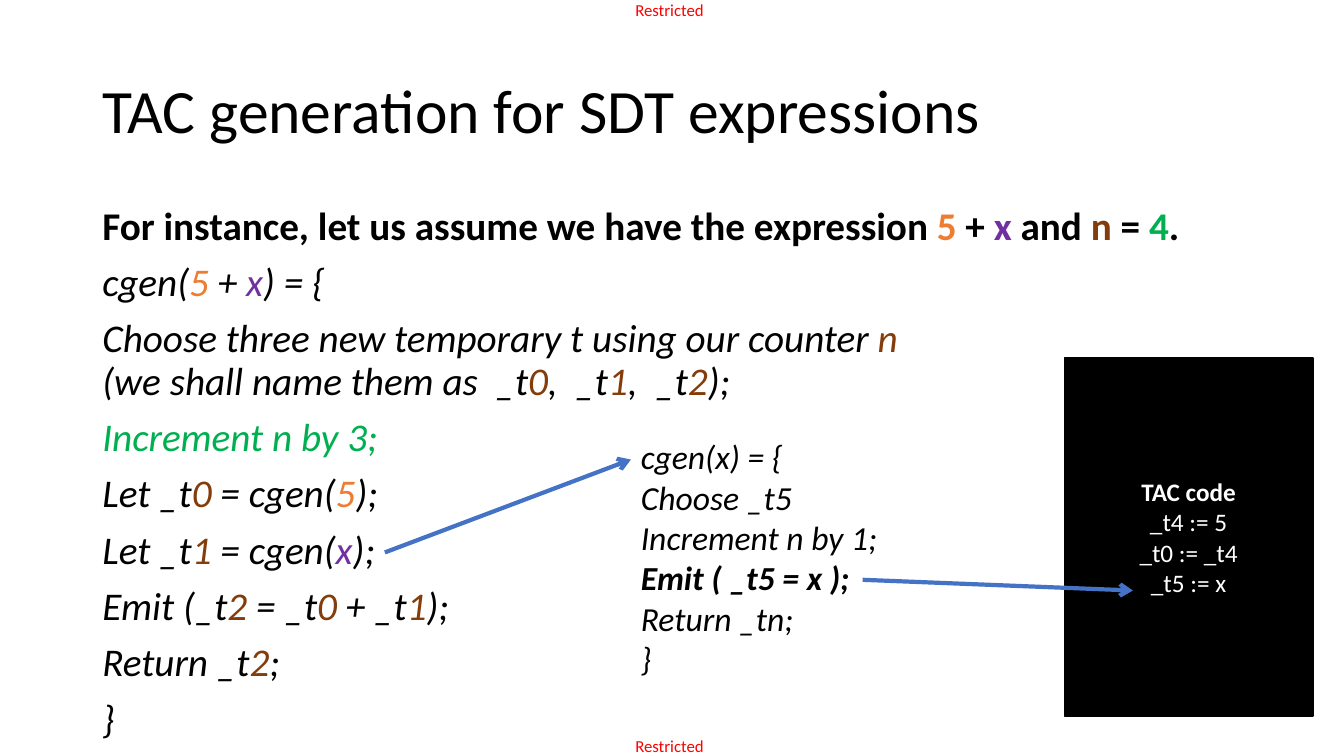
from lxml.etree import SubElement
from pptx import Presentation
from pptx.dml.color import RGBColor
from pptx.enum.shapes import MSO_CONNECTOR as Link, MSO_SHAPE as Shape
from pptx.enum.text import MSO_ANCHOR as Anchor, MSO_AUTO_SIZE as Auto, PP_ALIGN as Align
from pptx.oxml.ns import qn
from pptx.util import Cm, Pt

BLACK = RGBColor(0x00, 0x00, 0x00)
WHITE = RGBColor(0xFF, 0xFF, 0xFF)
RED = RGBColor(0xFF, 0x00, 0x00)
BLUE = RGBColor(0x44, 0x72, 0xC4)
ORANGE = RGBColor(0xED, 0x7D, 0x31)
PURPLE = RGBColor(0x70, 0x30, 0xA0)
BROWN = RGBColor(0x84, 0x3C, 0x0B)
GREEN = RGBColor(0x00, 0xB0, 0x50)

# A run is plain text, or (text, colour); "\n" is a line break.
FIVE, X = ("5", ORANGE), ("x", PURPLE)
N, T0, T1, T2 = [(name, BROWN) for name in "n012"]
MARK = "Restricted"
TITLE = "TAC generation for SDT expressions"
INTRO = ["For instance, let us assume we have the expression ",
         FIVE, " + ", X, " and ", N, " = ", ("4", GREEN), "."]
STEPS = [
    ["cgen(", FIVE, " + ", X, ") = {"],
    ["Choose three new temporary t using our counter ", N, "\n",
     "(we shall name them as  _t", T0, ",  _t", T1, ",  _t", T2, ");"],
    [("Increment n by 3;", GREEN)],
    ["Let _t", T0, " = cgen(", FIVE, ");"],
    ["Let _t", T1, " = cgen(", X, ");"],
    ["Emit (_t", T2, " = _t", T0, " + _t", T1, ");"],
    ["Return _t", T2, ";"],
    ["}"],
]
CALL = ["cgen(x) = {", "Choose _t5", "Increment n by 1;",
        "Emit ( _t5 = x );", "Return _tn;", "}"]
EMIT = 3  # line of CALL that writes code
TAC = ["TAC code", "_t4 := 5", "_t0 := _t4", "_t5 := x"]

# Lengths in cm: left, top, width, height
WIDE, HIGH = 33.87, 19.05
MARK_W, MARK_H = 1.85, 0.51
TITLE_AT = (2.33, 1.01, 29.21, 3.68)
BODY_AT = (2.33, 5.07, 29.21, 13.98)
CALL_AT = (15.9, 10.87, 17.55, 6.4)
TAC_AT = (26.82, 9.02, 6.27, 9.02)
ARROWS = [(21.74, 14.61, 28.55, 14.88), (9.7, 13.92, 15.9, 11.58)]


def write(frame, rows, size, color=BLACK, bold=(), slant=(), align=Align.LEFT,
          line=None, gap=0):
    """Fill a frame; bold and slant hold the numbers of the rows so styled."""
    for i, row in enumerate(rows):
        para = frame.paragraphs[0] if i == 0 else frame.add_paragraph()
        para.alignment = align
        if line:
            para.line_spacing = line
        if gap and i:
            para.space_before = Pt(gap)
        for part in [row] if isinstance(row, str) else row:
            if part == "\n":
                para.add_line_break()
                continue
            text, tint = (part, color) if isinstance(part, str) else part
            run = para.add_run()
            run.text = text
            font = run.font
            font.name, font.size = "Calibri", Pt(size)
            font.bold, font.italic = i in bold, i in slant
            font.color.rgb = tint


def add_box(slide, at, anchor=Anchor.TOP, grow=False):
    frame = slide.shapes.add_textbox(*map(Cm, at)).text_frame
    frame.word_wrap = True
    frame.vertical_anchor = anchor
    frame.auto_size = Auto.SHAPE_TO_FIT_TEXT if grow else Auto.NONE
    return frame


def add_mark(slide, top):
    frame = add_box(slide, ((WIDE - MARK_W) / 2, top, MARK_W, MARK_H), grow=True)
    frame.word_wrap = False
    frame.margin_left = frame.margin_right = 0
    frame.margin_top = frame.margin_bottom = 0
    write(frame, [MARK], 12, RED)


def add_arrow(slide, ends):
    link = slide.shapes.add_connector(Link.STRAIGHT, *map(Cm, ends))
    link.line.color.rgb = BLUE
    link.line.width = Pt(3)
    SubElement(link.line._get_or_add_ln(), qn("a:tailEnd"), type="arrow")
    SubElement(link._element.spPr, qn("a:effectLst"))


def main():
    deck = Presentation()
    deck.slide_width, deck.slide_height = Cm(WIDE), Cm(HIGH)
    slide = deck.slides.add_slide(deck.slide_layouts[6])

    for top in (0, HIGH - MARK_H):
        add_mark(slide, top)

    write(add_box(slide, CALL_AT, grow=True), CALL, 24,
          bold=[EMIT], slant=range(len(CALL)))

    panel = slide.shapes.add_shape(Shape.RECTANGLE, *map(Cm, TAC_AT))
    panel.shadow.inherit = False
    panel.fill.solid()
    panel.fill.fore_color.rgb = BLACK
    panel.line.color.rgb = BLACK
    panel.line.width = Pt(1)
    panel.text_frame.vertical_anchor = Anchor.MIDDLE
    write(panel.text_frame, TAC, 18, WHITE, bold=[0], align=Align.CENTER)

    write(add_box(slide, TITLE_AT, Anchor.MIDDLE), [TITLE], 44, line=0.9)
    write(add_box(slide, BODY_AT), [INTRO] + STEPS, 28, bold=[0],
          slant=range(1, len(STEPS) + 1), line=0.9, gap=10)

    for ends in ARROWS:
        add_arrow(slide, ends)
    deck.save("out.pptx")


if __name__ == "__main__":
    main()
